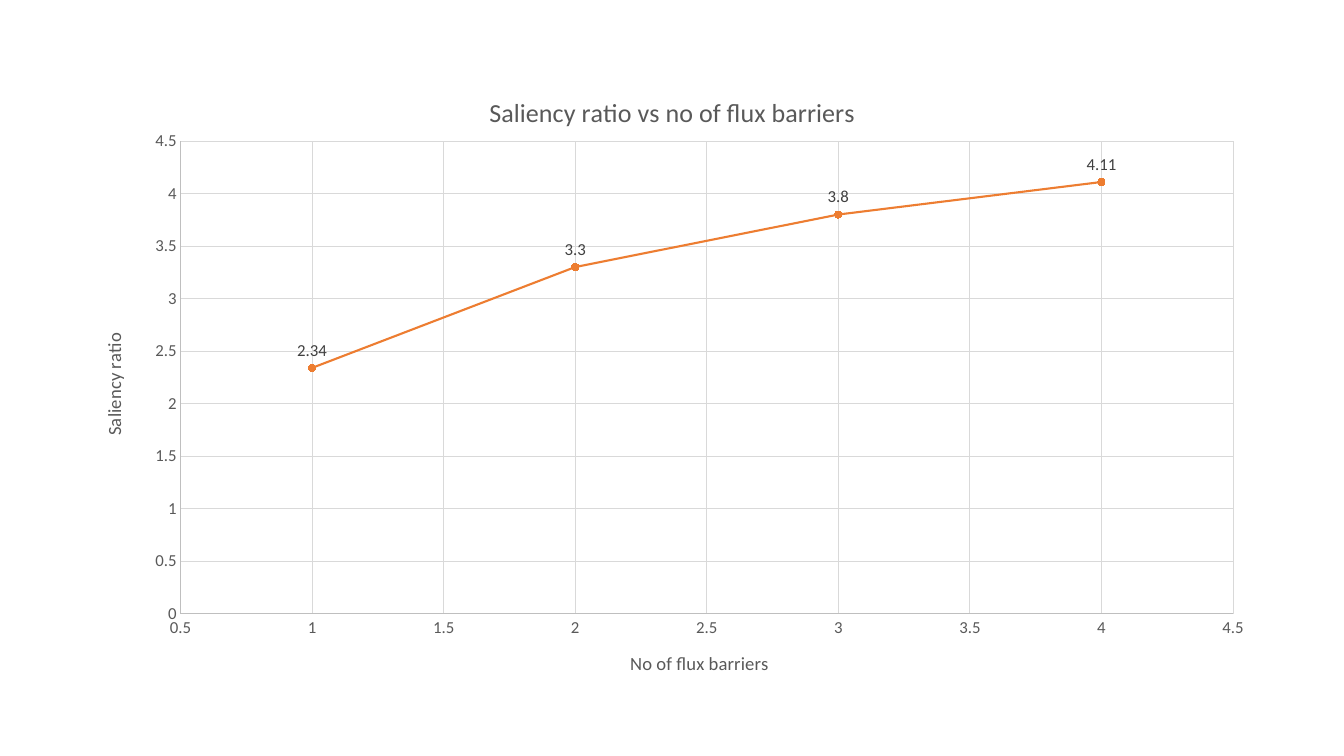
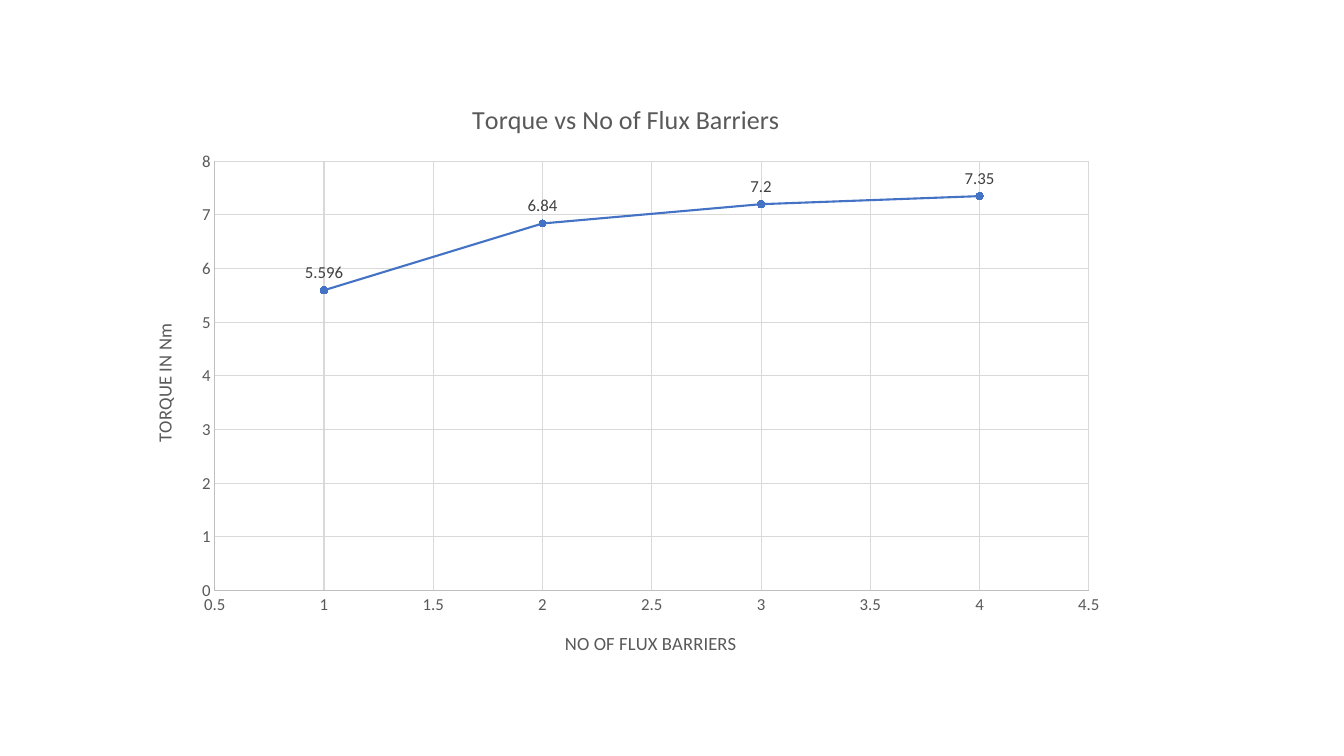
from dataclasses import dataclass

from pptx import Presentation
from pptx.chart.axis import ValueAxis
from pptx.chart.chart import Chart
from pptx.chart.data import XyChartData
from pptx.dml.color import RGBColor
from pptx.enum.chart import (XL_CHART_TYPE, XL_LABEL_POSITION, XL_MARKER_STYLE,
                             XL_TICK_MARK)
from pptx.oxml import parse_xml
from pptx.oxml.ns import nsdecls
from pptx.util import Inches, Pt

SMOOTH = XL_CHART_TYPE.XY_SCATTER_SMOOTH
ABOVE = XL_LABEL_POSITION.ABOVE
CIRCLE = XL_MARKER_STYLE.CIRCLE
NO_TICK = XL_TICK_MARK.NONE

# Shared style
FONT = "Calibri"
TITLE_PT, AXIS_TITLE_PT, LABEL_PT = 18.6, 13.3, 12
TEXT = RGBColor(0x59, 0x59, 0x59)
LABEL = RGBColor(0x40, 0x40, 0x40)
AXIS_LINE = RGBColor(0xBF, 0xBF, 0xBF)
GRID = RGBColor(0xD9, 0xD9, 0xD9)
ORANGE = RGBColor(0xED, 0x7D, 0x31)
BLUE = RGBColor(0x44, 0x72, 0xC4)


@dataclass(frozen=True)
class Box:
    """A rectangle on the slide, in inches."""
    left: float
    top: float
    width: float
    height: float


@dataclass(frozen=True)
class AxisSpec:
    title: str
    low: float
    high: float
    step: float


@dataclass(frozen=True)
class ChartSpec:
    title: str
    frame: Box
    plot: Box
    x_axis: AxisSpec
    y_axis: AxisSpec
    values: tuple[float, ...]
    color: RGBColor


CHARTS = (
    ChartSpec("Saliency ratio vs no of flux barriers",
              Box(0.92, 0.71, 11.5, 6.05), Box(1.79, 1.4, 10.44, 4.69),
              AxisSpec("No of flux barriers", 0.5, 4.5, 0.5),
              AxisSpec("Saliency ratio", 0, 4.5, 0.5),
              (2.34, 3.3, 3.8, 4.11), ORANGE),
    ChartSpec("Torque vs No of Flux Barriers",
              Box(1.31, 0.79, 9.8, 5.93), Box(2.13, 1.6, 8.67, 4.26),
              AxisSpec("NO OF FLUX BARRIERS", 0.5, 4.5, 0.5),
              AxisSpec("TORQUE IN Nm", 0, 8, 1),
              (5.596, 6.84, 7.2, 7.35), BLUE),
)


def style_font(font, size: float, color: RGBColor) -> None:
    font.name = FONT
    font.size = Pt(size)
    font.bold = False
    font.color.rgb = color


def set_title(title, text: str, size: float) -> None:
    """Fill the title of a chart or an axis."""
    p = title.text_frame.paragraphs[0]
    p.text = text
    style_font(p.runs[0].font, size, TEXT)


def style_line(line, color: RGBColor, width: float) -> None:
    line.color.rgb = color
    line.width = Pt(width)


def style_axis(axis: ValueAxis, spec: AxisSpec) -> None:
    axis.minimum_scale, axis.maximum_scale = spec.low, spec.high
    axis.major_unit = spec.step
    axis.major_tick_mark = axis.minor_tick_mark = NO_TICK
    axis.has_major_gridlines = True
    style_line(axis.major_gridlines.format.line, GRID, 0.75)
    style_line(axis.format.line, AXIS_LINE, 0.75)
    style_font(axis.tick_labels.font, LABEL_PT, TEXT)
    set_title(axis.axis_title, spec.title, AXIS_TITLE_PT)


def place_plot(chart: Chart, frame: Box, plot: Box) -> None:
    """Fix the inner plot area as shares of the chart frame."""
    shares = {"x": (plot.left - frame.left) / frame.width,
              "y": (plot.top - frame.top) / frame.height,
              "w": plot.width / frame.width,
              "h": plot.height / frame.height}
    modes = "".join(f'<c:{k}Mode val="edge"/>' for k in "xy")
    sizes = "".join(f'<c:{k} val="{v:.4f}"/>' for k, v in shares.items())
    area = chart.plots[0]._element.getparent()
    for old in area.findall("{*}layout"):
        area.remove(old)
    area.insert(0, parse_xml(
        f'<c:layout {nsdecls("c")}><c:manualLayout>'
        f'<c:layoutTarget val="inner"/>{modes}{sizes}'
        '</c:manualLayout></c:layout>'))


def style_series(chart: Chart, color: RGBColor, count: int) -> None:
    chart.plots[0].vary_by_categories = False
    series = chart.plots[0].series[0]
    style_line(series.format.line, color, 1.5)
    series.marker.style = CIRCLE
    series.marker.size = 5
    series.marker.format.fill.solid()
    series.marker.format.fill.fore_color.rgb = color
    style_line(series.marker.format.line, color, 0.75)
    for i in range(count):
        label = series.points[i].data_label
        style_font(label.font, LABEL_PT, LABEL)
        label.position = ABOVE


def add_scatter(slide, spec: ChartSpec) -> None:
    data = XyChartData()
    points = data.add_series("Series 1")
    for x, y in enumerate(spec.values, start=1):
        points.add_data_point(x, y)
    f = spec.frame
    chart = slide.shapes.add_chart(
        SMOOTH, Inches(f.left), Inches(f.top), Inches(f.width),
        Inches(f.height), data).chart
    chart.has_legend = False
    chart.font.name = FONT
    chart.font.size = Pt(10)
    set_title(chart.chart_title, spec.title, TITLE_PT)
    style_axis(chart.category_axis, spec.x_axis)
    style_axis(chart.value_axis, spec.y_axis)
    style_series(chart, spec.color, len(spec.values))
    place_plot(chart, f, spec.plot)


def main() -> None:
    prs = Presentation()
    prs.slide_width, prs.slide_height = Inches(13.33), Inches(7.5)
    blank = prs.slide_layouts[6]
    for spec in CHARTS:
        add_scatter(prs.slides.add_slide(blank), spec)
    prs.save("out.pptx")


if __name__ == "__main__":
    main()
